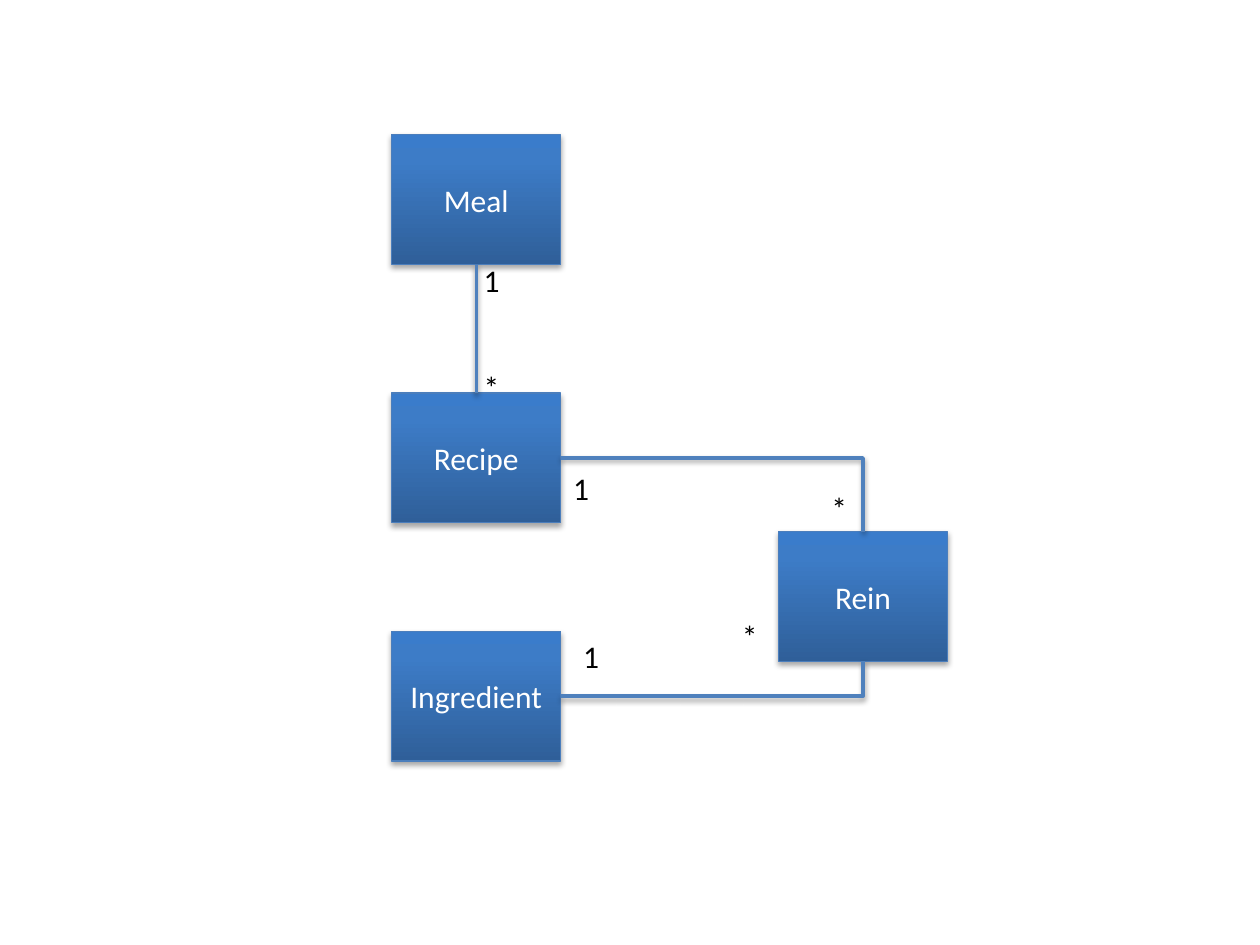
from dataclasses import dataclass

from lxml import etree
from pptx import Presentation
from pptx.dml.color import RGBColor
from pptx.enum.shapes import MSO_CONNECTOR, MSO_SHAPE
from pptx.enum.text import MSO_ANCHOR, MSO_AUTO_SIZE, PP_ALIGN
from pptx.oxml.ns import qn
from pptx.util import Inches, Pt

RECTANGLE = MSO_SHAPE.RECTANGLE
STRAIGHT, ELBOW = MSO_CONNECTOR.STRAIGHT, MSO_CONNECTOR.ELBOW
CENTER, MIDDLE = PP_ALIGN.CENTER, MSO_ANCHOR.MIDDLE
FIT_SHAPE = MSO_AUTO_SIZE.SHAPE_TO_FIT_TEXT
TOP, BOTTOM, RIGHT = 0, 2, 3  # connection sites of a rectangle


@dataclass(frozen=True)
class Theme:
    font: str = "Calibri"
    size: int = 18
    box_text: str = "FFFFFF"
    label_text: str = "000000"
    outline: str = "4B7EBC"
    connector: str = "4F81BD"
    gradient: tuple = ((0, "2F5F99"), (80, "3D7CC7"), (100, "3A7CCB"))


THEME = Theme()


def add_shadow(shape, distance, opacity):
    """Give a shape or connector a soft shadow that falls straight down."""
    effects = etree.SubElement(shape._element.spPr, qn("a:effectLst"))
    shadow = etree.SubElement(
        effects, qn("a:outerShdw"), blurRad=str(Pt(3.15)),
        dist=str(Pt(distance)), dir="5400000", rotWithShape="0")
    color = etree.SubElement(shadow, qn("a:srgbClr"), val="000000")
    etree.SubElement(color, qn("a:alpha"), val=str(opacity * 1000))


def write_text(shape, text, color):
    """Put one line of themed text in a shape and return its paragraph."""
    paragraph = shape.text_frame.paragraphs[0]
    paragraph.text = text
    paragraph.font.name = THEME.font
    paragraph.font.size = Pt(THEME.size)
    paragraph.font.color.rgb = RGBColor.from_string(color)
    return paragraph


presentation = Presentation()
presentation.slide_width, presentation.slide_height = Inches(10), Inches(7.5)
slide = presentation.slides.add_slide(presentation.slide_layouts[6])

# Entities: two columns of equal boxes
BOX_WIDTH, BOX_HEIGHT = Inches(1.34), Inches(1.03)
LEFT_COLUMN, RIGHT_COLUMN = 3.11, 6.18
entities = {
    "Meal": (LEFT_COLUMN, 1.07),
    "Rein": (RIGHT_COLUMN, 4.22),
    "Recipe": (LEFT_COLUMN, 3.12),
    "Ingredient": (LEFT_COLUMN, 5.01),
}
boxes = {}
for name, (left, top) in entities.items():
    box = slide.shapes.add_shape(
        RECTANGLE, Inches(left), Inches(top), BOX_WIDTH, BOX_HEIGHT)
    box.fill.gradient()
    box.fill.gradient_angle = 90
    stop_list = box._element.spPr.find(".//" + qn("a:gsLst"))
    stop_list.clear()
    for position, color in THEME.gradient:
        stop = etree.SubElement(stop_list, qn("a:gs"), pos=str(position * 1000))
        etree.SubElement(stop, qn("a:srgbClr"), val=color)
    box.line.color.rgb = RGBColor.from_string(THEME.outline)
    box.line.width = Pt(0.75)
    add_shadow(box, 1.8, 35)
    box.text_frame.word_wrap = True
    box.text_frame.vertical_anchor = MIDDLE
    write_text(box, name, THEME.box_text).alignment = CENTER
    boxes[name] = box

# Relations between the entities
relations = [
    (STRAIGHT, "Meal", BOTTOM, "Recipe", TOP),
    (ELBOW, "Recipe", RIGHT, "Rein", TOP),
    (ELBOW, "Ingredient", RIGHT, "Rein", BOTTOM),
]
for kind, source, source_site, target, target_site in relations:
    connector = slide.shapes.add_connector(kind, 0, 0, 0, 0)
    connector.begin_connect(boxes[source], source_site)
    connector.end_connect(boxes[target], target_site)
    if kind == ELBOW:  # a single corner
        connector._element.spPr.find(qn("a:prstGeom")).set("prst", "bentConnector2")
    connector.line.color.rgb = RGBColor.from_string(THEME.connector)
    connector.line.width = Pt(2)
    add_shadow(connector, 1.6, 38)

# Multiplicities at the ends of the relations
multiplicities = [
    ("1", 3.74, 2.02), ("*", 3.74, 2.87),
    ("1", 4.45, 3.67), ("*", 6.5, 3.83),
    ("1", 4.53, 5.01), ("*", 5.79, 4.85),
]
for text, left, top in multiplicities:
    label = slide.shapes.add_textbox(
        Inches(left), Inches(top), Inches(0.33), Inches(0.4))
    label.text_frame.word_wrap = False
    label.text_frame.auto_size = FIT_SHAPE
    write_text(label, text, THEME.label_text)

presentation.save("out.pptx")
